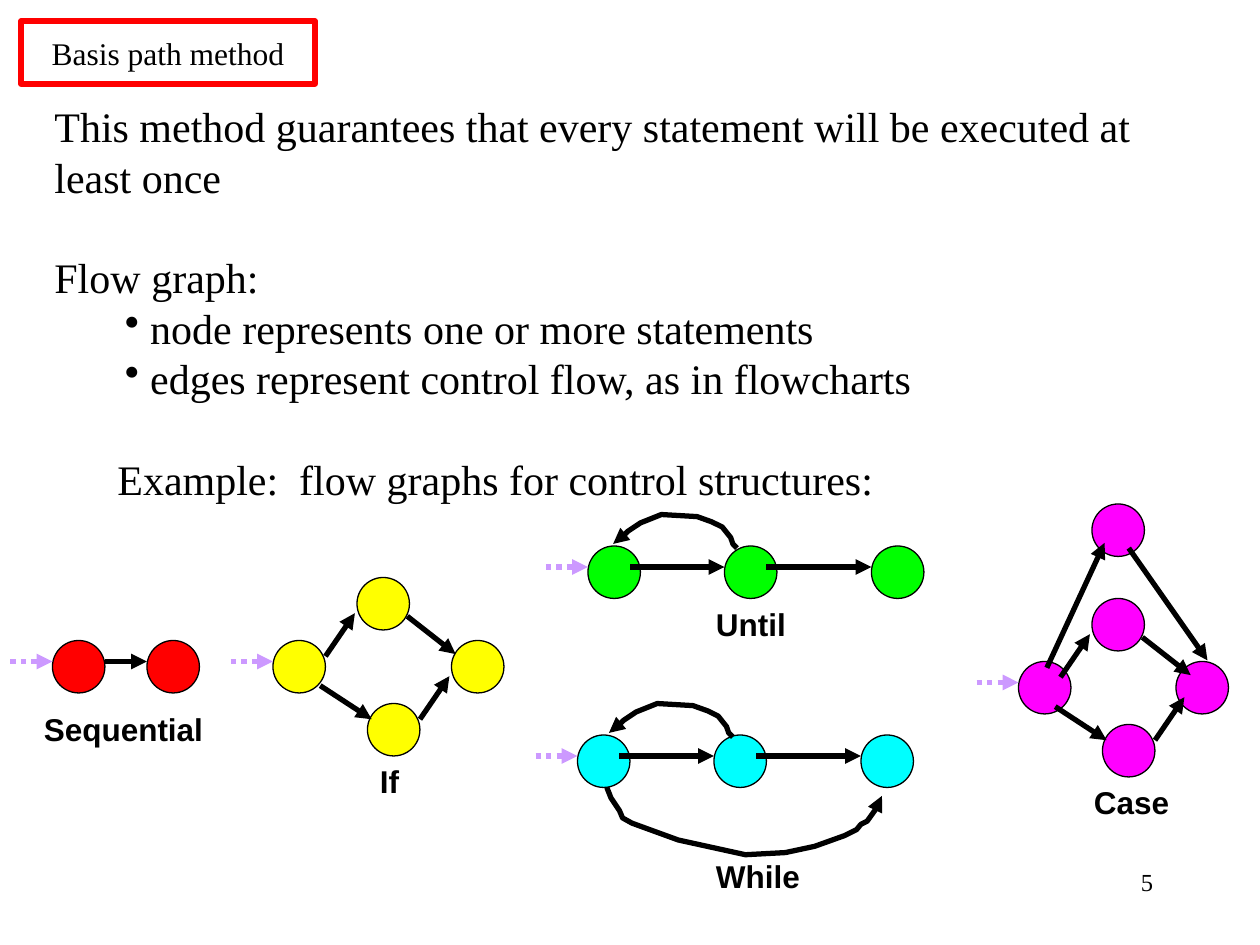
from dataclasses import dataclass

from lxml.etree import SubElement
from pptx import Presentation
from pptx.dml.color import RGBColor as RGB
from pptx.enum.dml import MSO_LINE as Dash
from pptx.enum.shapes import MSO_CONNECTOR as Conn, MSO_SHAPE as Kind
from pptx.enum.text import MSO_ANCHOR as Anchor, PP_ALIGN as Align
from pptx.oxml.ns import qn
from pptx.util import Inches, Pt

WIDE, HIGH = Inches(10), Inches(7.5)
COLS = 120
UNIT = WIDE // COLS  # square grid of 120 columns by 90 rows
NODE = 5
FINE = 100  # curve steps in one grid unit

BLACK = RGB(0, 0, 0)
RED = RGB(255, 0, 0)
YELLOW = RGB(255, 255, 0)
GREEN = RGB(0, 255, 0)
CYAN = RGB(0, 255, 255)
PINK = RGB(255, 0, 255)
LILAC = RGB(0xCC, 0x99, 0xFF)
SERIF, SANS = "Times New Roman", "Arial"

Point = tuple[float, float]
Edge = tuple[float, float, float, float]


@dataclass(frozen=True)
class Para:
    text: str
    left: float = 0
    hang: float = 0
    gap: float = 0
    mark: str = ""


@dataclass(frozen=True)
class Graph:
    """Nodes, edges and curves are relative to the origin; the first node is the entry."""
    name: str
    label: tuple[float, float, float]
    color: RGB
    origin: Point
    nodes: tuple[Point, ...]
    edges: tuple[Edge, ...]
    curves: tuple[tuple[Point, ...], ...] = ()


FORK = ((4.5, 10.3, 9.4, 13.5), (5, 7.5, 7.8, 3.4),
        (12.8, 3.7, 17.4, 7.3), (14, 13.5, 16.8, 9.4))
CHAIN = ((0, 0), (13, 0), (27, 0))
STEPS = ((4, 2, 13, 2), (17, 2, 27, 2))
BACK = ((14.2, 0.2), (13.8, -0.2), (13.6, -0.8), (12.8, -1.8), (11.8, -2.3),
        (10.4, -2.8), (7, -3), (5, -2.2), (3.8, -1.4), (3, -0.6), (2.4, -0.2))
SKIP = ((2.8, 5), (3.2, 6), (4, 7.2), (4.3, 7.9), (5.2, 8.4), (9.6, 10),
        (16, 11.4), (19.8, 11.2), (22.6, 10.6), (25.4, 9.6), (26.6, 9),
        (27, 8.5), (27.6, 8.2), (28.6, 6.8), (29, 5.8))

GRAPHS = (
    Graph("Sequential", (3, 67, 18), RED, (5, 61),
          ((0, 0), (9, 0)), ((5, 2, 9, 2),)),
    Graph("If", (35, 72, 5), YELLOW, (26, 55),
          ((0, 6), (8, 0), (17, 6), (9, 12)), FORK),
    Graph("Until", (67, 57, 10), GREEN, (56, 52), CHAIN, STEPS, (BACK,)),
    Graph("While", (67, 81, 13), CYAN, (55, 70), CHAIN, STEPS,
          (tuple((x + 0.6, y) for x, y in BACK), SKIP)),
    Graph("Case", (103, 74, 11), PINK, (96, 57),
          ((1, 6), (8, -9), (8, 0), (16, 6), (9, 12)),
          FORK + ((3.7, 6.6, 9.2, -5.3), (11.5, -4.8, 19, 5.9))),
)

BODY = (
    Para("This method guarantees that every statement will be executed at least once"),
    Para("Flow graph:", gap=28.8),
    Para("node represents one or more statements", 0.76, -0.2, mark="•"),
    Para("edges represent control flow, as in flowcharts", 0.76, -0.2, mark="•"),
    Para("Example:  flow graphs for control structures:", 0.5, gap=28.8),
)


def grid(*vals: float) -> list[int]:
    return [round(v * UNIT) for v in vals]


def write(shape, *paras: Para, size: float = 18, font: str = SERIF,
          bold: bool = False, align=Align.LEFT, anchor=Anchor.TOP,
          pitch: float = 0) -> None:
    frame = shape.text_frame
    frame.word_wrap = True
    frame.vertical_anchor = anchor
    for i, item in enumerate(paras):
        para = frame.add_paragraph() if i else frame.paragraphs[0]
        props = para._p.get_or_add_pPr()
        props.set("marL", str(Inches(item.left)))
        props.set("indent", str(Inches(item.hang)))
        if item.mark:
            SubElement(props, qn("a:buChar")).set("char", item.mark)
        para.alignment = align
        if pitch:
            para.line_spacing = Pt(pitch)
        if item.gap:
            para.space_before = Pt(item.gap)
        run = para.add_run()
        run.text = item.text
        run.font.name, run.font.size, run.font.bold = font, Pt(size), bold
        run.font.color.rgb = BLACK


def tip(shape, color: RGB = BLACK) -> None:
    """Style a line as a thick arrow without a shadow."""
    shape.line.color.rgb = color
    shape.line.width = Pt(3)
    SubElement(shape.line._get_or_add_ln(), qn("a:tailEnd")).set("type", "triangle")


def arrow(shapes, edge: Edge, color: RGB = BLACK, dash=None) -> None:
    line = shapes.add_connector(Conn.STRAIGHT, *grid(*edge))
    if dash:
        line.line.dash_style = dash
    tip(line, color)
    SubElement(line._element.spPr, qn("a:effectLst"))


def curve(shapes, points: list[Point]) -> None:
    first, *rest = [(round(x * FINE), round(y * FINE)) for x, y in points]
    pen = shapes.build_freeform(*first, scale=UNIT / FINE)
    pen.add_line_segments(rest, close=False)
    shape = pen.convert_to_shape()
    shape.fill.background()
    shape.shadow.inherit = False
    tip(shape)


def draw(shapes, graph: Graph) -> None:
    ox, oy = graph.origin
    for x, y in graph.nodes:
        node = shapes.add_shape(Kind.OVAL, *grid(ox + x, oy + y, NODE, NODE))
        node.shadow.inherit = False
        node.fill.solid()
        node.fill.fore_color.rgb = graph.color
        node.line.color.rgb = BLACK
        node.line.width = Pt(0.75)
    x, y = graph.nodes[0]
    arrow(shapes, (ox + x - 4, oy + y + 2, ox + x, oy + y + 2), LILAC, Dash.ROUND_DOT)
    for x1, y1, x2, y2 in graph.edges:
        arrow(shapes, (ox + x1, oy + y1, ox + x2, oy + y2))
    for points in graph.curves:
        curve(shapes, [(ox + x, oy + y) for x, y in points])
    write(shapes.add_textbox(*grid(*graph.label, 4.8)), Para(graph.name),
          font=SANS, bold=True)


def main() -> None:
    deck = Presentation()
    deck.slide_width, deck.slide_height = WIDE, HIGH
    shapes = deck.slides.add_slide(deck.slide_layouts[6]).shapes

    write(shapes.add_textbox(*grid(86, 82, 25, 6)), Para("5"), size=14, align=Align.RIGHT)
    title = shapes.add_shape(Kind.RECTANGLE, *grid(2, 2, 28, 6))
    title.shadow.inherit = False
    title.fill.background()
    title.line.color.rgb = RED
    title.line.width = Pt(3)
    write(title, Para("Basis path method"), align=Align.CENTER, anchor=Anchor.MIDDLE)
    write(shapes.add_textbox(*grid(4, 9, 111, 49.2)), *BODY, size=24, pitch=28.8)

    for graph in GRAPHS:
        draw(shapes, graph)
    deck.save("out.pptx")


if __name__ == "__main__":
    main()
